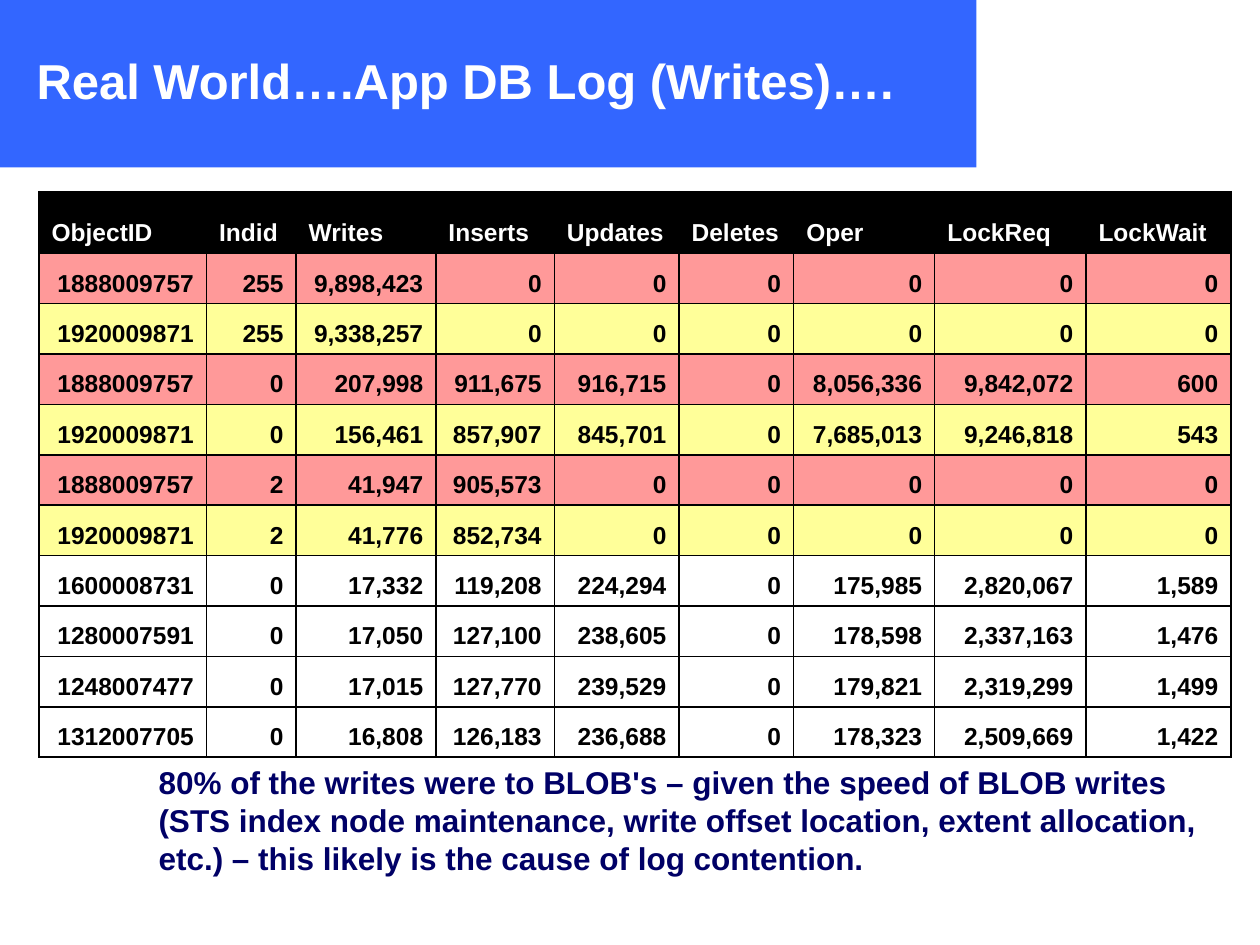
from dataclasses import dataclass
from typing import Optional

from lxml import etree
from pptx import Presentation
from pptx.dml.color import RGBColor
from pptx.enum.shapes import MSO_SHAPE
from pptx.enum.text import MSO_ANCHOR, MSO_AUTO_SIZE, PP_ALIGN
from pptx.oxml.ns import qn
from pptx.util import Inches, Pt

RECTANGLE = MSO_SHAPE.RECTANGLE
MIDDLE, BOTTOM = MSO_ANCHOR.MIDDLE, MSO_ANCHOR.BOTTOM
LEFT, RIGHT = PP_ALIGN.LEFT, PP_ALIGN.RIGHT
FIT_SHAPE = MSO_AUTO_SIZE.SHAPE_TO_FIT_TEXT
NO_AUTOFIT = MSO_AUTO_SIZE.NONE
TITLE_ONLY = 5


@dataclass(frozen=True)
class Theme:
    font: str = "Arial"
    banner: str = "3366FF"
    white: str = "FFFFFF"
    black: str = "000000"
    navy: str = "000066"
    red: str = "FF9999"
    yellow: str = "FFFF99"
    title_size: int = 28
    conclusion_size: int = 18
    table_size: int = 14
    border_width: int = 1


@dataclass(frozen=True)
class Column:
    heading: str
    width: float


@dataclass(frozen=True)
class LogRow:
    values: str
    fill: Optional[str] = None


THEME = Theme()
HEADER_HEIGHT, ROW_HEIGHT = 0.49, 0.4

COLUMNS = [
    Column("ObjectID", 1.33),
    Column("Indid", 0.71),
    Column("Writes", 1.11),
    Column("Inserts", 0.94),
    Column("Updates", 0.99),
    Column("Deletes", 0.91),
    Column("Oper", 1.12),
    Column("LockReq", 1.2),
    Column("LockWait", 1.15),
]

LOG_ROWS = [
    LogRow("1888009757 255 9,898,423 0 0 0 0 0 0", THEME.red),
    LogRow("1920009871 255 9,338,257 0 0 0 0 0 0", THEME.yellow),
    LogRow("1888009757 0 207,998 911,675 916,715 0 8,056,336 9,842,072 600", THEME.red),
    LogRow("1920009871 0 156,461 857,907 845,701 0 7,685,013 9,246,818 543", THEME.yellow),
    LogRow("1888009757 2 41,947 905,573 0 0 0 0 0", THEME.red),
    LogRow("1920009871 2 41,776 852,734 0 0 0 0 0", THEME.yellow),
    LogRow("1600008731 0 17,332 119,208 224,294 0 175,985 2,820,067 1,589"),
    LogRow("1280007591 0 17,050 127,100 238,605 0 178,598 2,337,163 1,476"),
    LogRow("1248007477 0 17,015 127,770 239,529 0 179,821 2,319,299 1,499"),
    LogRow("1312007705 0 16,808 126,183 236,688 0 178,323 2,509,669 1,422"),
]

CONCLUSION = (
    "80% of the writes were to BLOB's – given the speed of BLOB writes "
    "(STS index node maintenance, write offset location, extent allocation, "
    "etc.) – this likely is the cause of log contention."
)


def set_text(frame, text: str, size: int, color: str, align=LEFT) -> None:
    frame.text = text
    for paragraph in frame.paragraphs:
        paragraph.alignment = align
        for run in paragraph.runs:
            run.font.name = THEME.font
            run.font.size = Pt(size)
            run.font.bold = True
            run.font.color.rgb = RGBColor.from_string(color)


def paint(fill, color: Optional[str]) -> None:
    if color is None:
        fill.background()
    else:
        fill.solid()
        fill.fore_color.rgb = RGBColor.from_string(color)


def add_borders(cell) -> None:
    properties = cell._tc.get_or_add_tcPr()
    for side in ("a:lnL", "a:lnR", "a:lnT", "a:lnB"):
        line = etree.SubElement(properties, qn(side), w=str(Pt(THEME.border_width)))
        solid = etree.SubElement(line, qn("a:solidFill"))
        etree.SubElement(solid, qn("a:srgbClr"), val=THEME.black)


def fill_row(cells, values: list[str], fill: Optional[str], color: str, align) -> None:
    for cell, value in zip(cells, values):
        set_text(cell.text_frame, value, THEME.table_size, color, align)
        cell.vertical_anchor = BOTTOM
        add_borders(cell)
        paint(cell.fill, fill)


def add_title(slide) -> None:
    banner = slide.shapes.add_shape(RECTANGLE, 0, 0, Inches(7.75), Inches(1.33))
    banner.shadow.inherit = False
    banner.line.fill.background()
    paint(banner.fill, THEME.banner)

    title = slide.shapes.title
    title.left, title.top = Inches(0.19), Inches(0.01)
    title.width, title.height = Inches(7.54), Inches(1.25)
    paint(title.fill, THEME.banner)
    title.text_frame.word_wrap = True
    title.text_frame.auto_size = NO_AUTOFIT
    title.text_frame.vertical_anchor = MIDDLE
    set_text(title.text_frame, "Real World….App DB Log (Writes)….",
             THEME.title_size, THEME.white)
    title._element.addprevious(banner._element)


def add_log_table(slide) -> None:
    width = sum(column.width for column in COLUMNS)
    height = HEADER_HEIGHT + ROW_HEIGHT * len(LOG_ROWS)
    table = slide.shapes.add_table(
        len(LOG_ROWS) + 1, len(COLUMNS),
        Inches(0.31), Inches(1.52), Inches(width), Inches(height),
    ).table
    table.first_row = False
    table.horz_banding = False
    for table_column, column in zip(table.columns, COLUMNS):
        table_column.width = Inches(column.width)

    header, *body = table.rows
    header.height = Inches(HEADER_HEIGHT)
    headings = [column.heading for column in COLUMNS]
    fill_row(header.cells, headings, THEME.black, THEME.white, LEFT)
    for table_row, log_row in zip(body, LOG_ROWS):
        table_row.height = Inches(ROW_HEIGHT)
        fill_row(table_row.cells, log_row.values.split(), log_row.fill, THEME.black, RIGHT)


def add_conclusion(slide) -> None:
    conclusion = slide.shapes.add_textbox(
        Inches(1.16), Inches(6.01), Inches(8.75), Inches(1))
    conclusion.text_frame.word_wrap = True
    conclusion.text_frame.auto_size = FIT_SHAPE
    set_text(conclusion.text_frame, CONCLUSION, THEME.conclusion_size, THEME.navy)


def main() -> None:
    presentation = Presentation()
    presentation.slide_width, presentation.slide_height = Inches(10), Inches(7.5)
    slide = presentation.slides.add_slide(presentation.slide_layouts[TITLE_ONLY])
    add_title(slide)
    add_log_table(slide)
    add_conclusion(slide)
    presentation.save("out.pptx")


if __name__ == "__main__":
    main()
